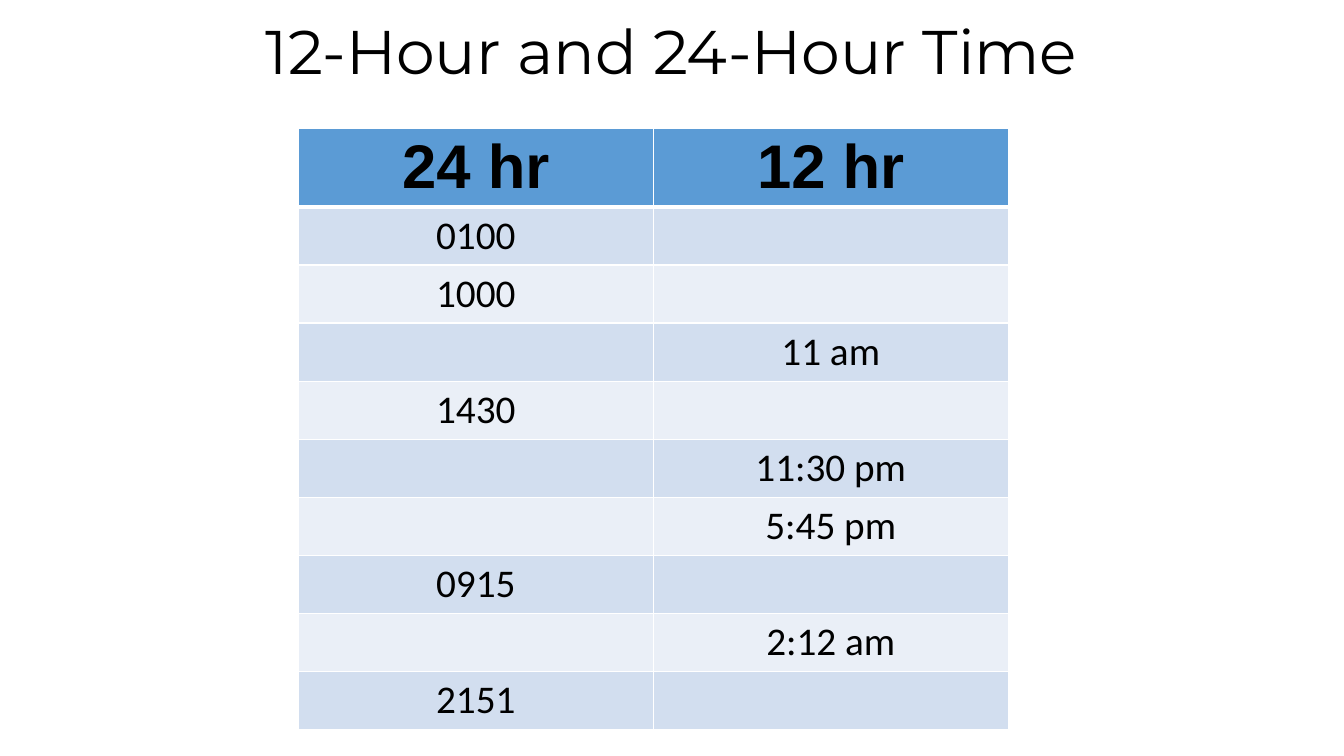
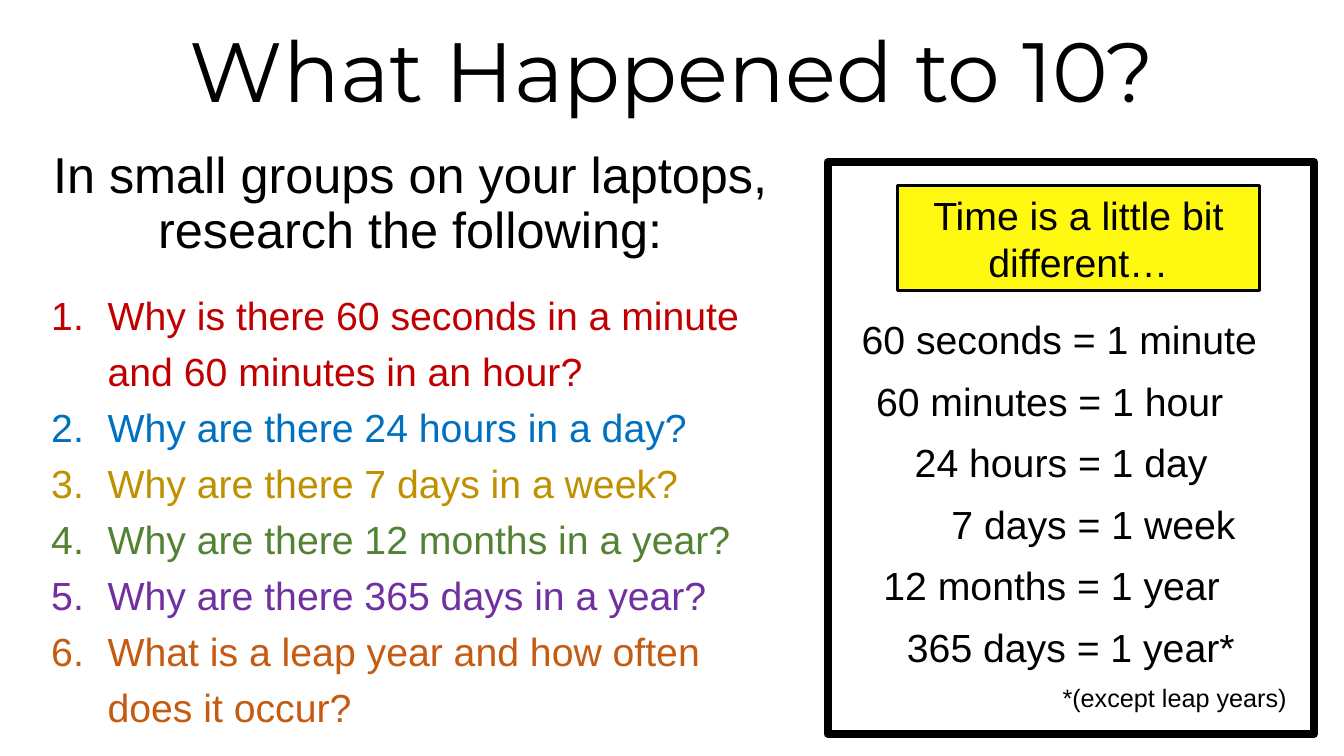
import pptx
import pptx.dml.color
import pptx.enum.shapes
import pptx.enum.text
import pptx.oxml
import pptx.oxml.ns
import pptx.util

Inches = pptx.util.Inches
Pt = pptx.util.Pt
Align = pptx.enum.text.PP_ALIGN
Anchor = pptx.enum.text.MSO_ANCHOR

BLACK, WHITE, YELLOW = "000000", "FFFFFF", "FFF911"
HEADER_BLUE, BAND_DARK, BAND_LIGHT = "5B9BD5", "D2DEEF", "EAEFF7"


def rgb(hex_code):
    return pptx.dml.color.RGBColor.from_string(hex_code)


def write(paragraph, text, size=28, font="Arial", color=BLACK, bold=False,
          align=Align.CENTER, spacing=None):
    paragraph.alignment = align
    if spacing is not None:
        paragraph.line_spacing = spacing
    run = paragraph.add_run()
    run.text = text
    run.font.size = Pt(size)
    run.font.name = font
    run.font.bold = bold
    run.font.color.rgb = rgb(color)


def number(paragraph, indent):
    """Give the paragraph an automatic number with a hanging indent."""
    properties = paragraph._p.get_or_add_pPr()
    properties.set("marL", str(indent))
    properties.set("indent", str(-indent))
    properties.append(pptx.oxml.parse_xml(
        f'<a:buAutoNum {pptx.oxml.ns.nsdecls("a")} type="arabicPeriod"/>'))


def border(cell, bottom_width):
    """Draw white cell borders, 1 pt except for the bottom one."""
    properties = cell._tc.get_or_add_tcPr()
    widths = {"lnL": 1, "lnR": 1, "lnT": 1, "lnB": bottom_width}
    for position, (side, width) in enumerate(widths.items()):
        properties.insert(position, pptx.oxml.parse_xml(
            f'<a:{side} {pptx.oxml.ns.nsdecls("a")} w="{Pt(width)}">'
            f'<a:solidFill><a:srgbClr val="{WHITE}"/></a:solidFill></a:{side}>'))


class Deck:
    title_font = "Montserrat"
    title_layout = 5

    def __init__(self):
        self.presentation = pptx.Presentation()
        self.presentation.slide_width = Inches(13.33)
        self.presentation.slide_height = Inches(7.5)
        self.slide = None

    def add_slide(self, title, top, size):
        layout = self.presentation.slide_layouts[self.title_layout]
        self.slide = self.presentation.slides.add_slide(layout)
        heading = self.slide.shapes.title
        heading.left, heading.top = Inches(0), Inches(top)
        heading.width, heading.height = Inches(13.33), Inches(1.45)
        frame = heading.text_frame
        frame.auto_size = pptx.enum.text.MSO_AUTO_SIZE.NONE
        frame.vertical_anchor = Anchor.TOP
        write(frame.paragraphs[0], title, size=size, font=self.title_font, spacing=0.9)

    def add_frame(self, left, top, width, height, wrap=True):
        box = self.slide.shapes.add_textbox(
            Inches(left), Inches(top), Inches(width), Inches(height))
        box.text_frame.word_wrap = wrap
        return box.text_frame

    def add_text(self, text, left, top, width, height, wrap=True, **style):
        write(self.add_frame(left, top, width, height, wrap).paragraphs[0], text, **style)

    def add_numbered(self, items, left, top, width, height):
        frame = self.add_frame(left, top, width, height)
        for index, (text, color) in enumerate(items):
            paragraph = frame.add_paragraph() if index else frame.paragraphs[0]
            number(paragraph, Inches(0.56))
            write(paragraph, text, color=color, align=Align.LEFT, spacing=Pt(40))

    def add_box(self, left, top, width, height, line_width, fill=None, text=None):
        box = self.slide.shapes.add_shape(
            pptx.enum.shapes.MSO_SHAPE.RECTANGLE,
            Inches(left), Inches(top), Inches(width), Inches(height))
        box.shadow.inherit = False
        box.line.color.rgb = rgb(BLACK)
        box.line.width = Pt(line_width)
        if fill:
            box.fill.solid()
            box.fill.fore_color.rgb = rgb(fill)
        else:
            box.fill.background()
        if text:
            box.text_frame.word_wrap = True
            box.text_frame.vertical_anchor = Anchor.MIDDLE
            write(box.text_frame.paragraphs[0], text)

    def add_table(self, rows, left, top, column_width, header_height, row_height):
        columns = len(rows[0])
        height = header_height + row_height * (len(rows) - 1)
        table = self.slide.shapes.add_table(
            len(rows), columns, Inches(left), Inches(top),
            Inches(column_width * columns), Inches(height)).table
        for column in table.columns:
            column.width = Inches(column_width)
        for r, values in enumerate(rows):
            is_header = r == 0
            table.rows[r].height = Inches(header_height if is_header else row_height)
            fill = HEADER_BLUE if is_header else BAND_DARK if r % 2 else BAND_LIGHT
            style = dict(size=44, bold=True) if is_header else dict(font="Calibri")
            for c, value in enumerate(values):
                cell = table.cell(r, c)
                cell.fill.solid()
                cell.fill.fore_color.rgb = rgb(fill)
                border(cell, 3 if is_header else 1)
                if value:
                    write(cell.text_frame.paragraphs[0], value, **style)


def add_time_table(deck):
    deck.add_slide("12-Hour and 24-Hour Time", top=0.16, size=44)
    times = [
        ("24 hr", "12 hr"),
        ("0100", ""),
        ("1000", ""),
        ("", "11 am"),
        ("1430", ""),
        ("", "11:30 pm"),
        ("", "5:45 pm"),
        ("0915", ""),
        ("", "2:12 am"),
        ("2151", ""),
    ]
    deck.add_table(times, 2.96, 1.27, column_width=3.52, header_height=0.74, row_height=0.56)


def add_research_task(deck):
    deck.add_slide("What Happened to 10?", top=0.25, size=60)
    deck.add_text("In small groups on your laptops, research the following:",
                  0.41, 1.44, 7.32, 1.45, size=36, spacing=0.9)
    deck.add_box(8.9, 1.84, 3.59, 1.04, line_width=2.25, fill=YELLOW,
                 text="Time is a little bit different…")

    # Left and width centre each line so that the equals signs align.
    conversions = [
        ("60 seconds = 1 minute ", 7.61, 5.9),
        ("60 minutes = 1 hour", 7.92, 4.98),
        ("24 hours = 1 day", 7.61, 5.83),
        ("7 days = 1 week", 7.61, 6.47),
        ("12 months = 1 year", 7.61, 5.64),
        ("365 days = 1 year*", 8.75, 3.74),
    ]
    for index, (conversion, left, width) in enumerate(conversions):
        deck.add_text(conversion, left, 3.08 + 0.61 * index, width, 0.57)
    deck.add_text("*(except leap years)", 10.44, 6.72, 2.52, 0.4,
                  wrap=False, size=18, align=Align.LEFT)
    deck.add_box(8.21, 1.61, 4.82, 5.67, line_width=6)

    questions = [
        ("Why is there 60 seconds in a minute and 60 minutes in an hour?", "C00000"),
        ("Why are there 24 hours in a day?", "0070C0"),
        ("Why are there 7 days in a week?", "BF9000"),
        ("Why are there 12 months in a year?", "548235"),
        ("Why are there 365 days in a year?", "7030A0"),
        ("What is a leap year and how often does it occur?", "C55A11"),
    ]
    deck.add_numbered(questions, 0.41, 2.75, 7.5, 4.5)


def main():
    deck = Deck()
    add_time_table(deck)
    add_research_task(deck)
    deck.presentation.save("out.pptx")


if __name__ == "__main__":
    main()
